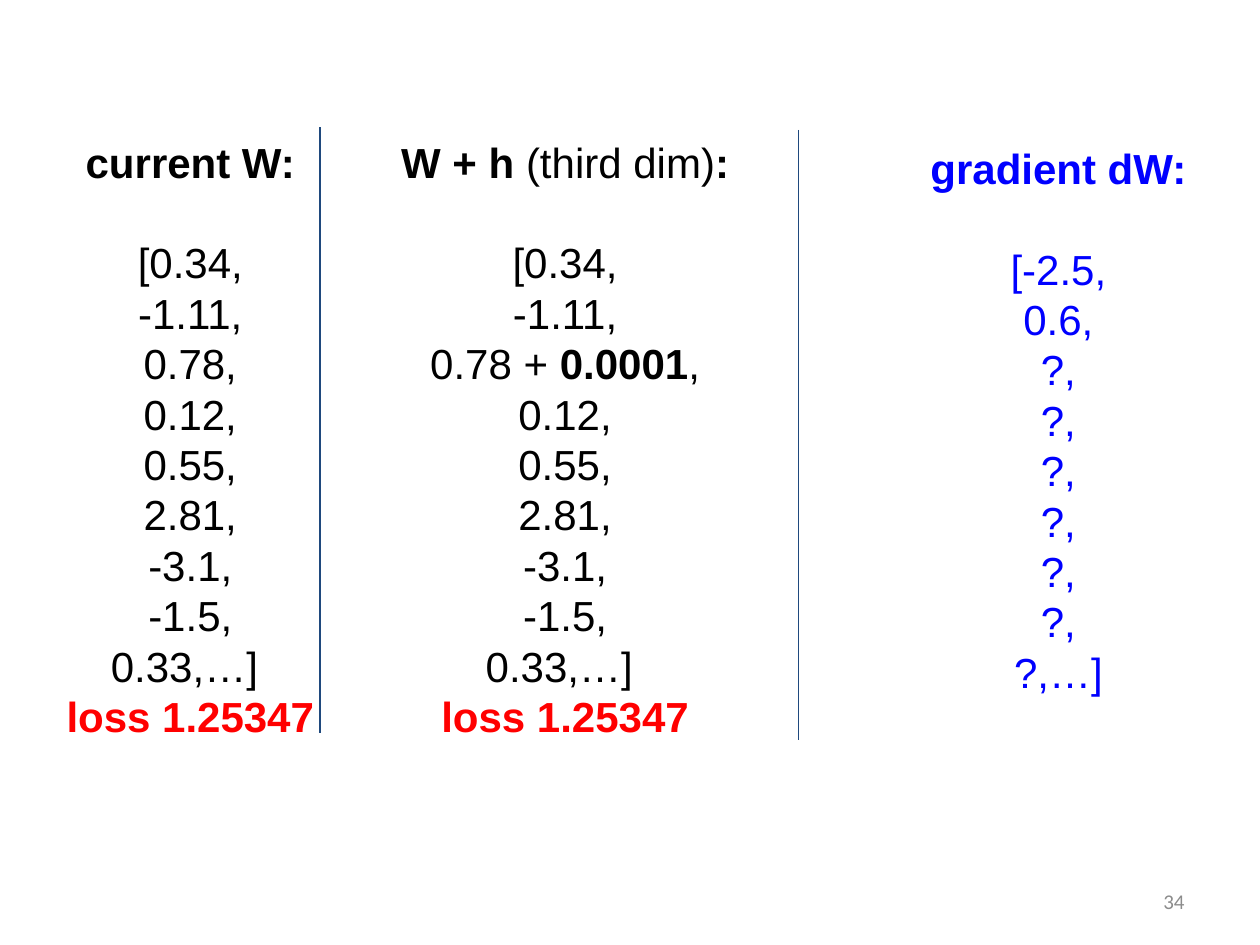
from dataclasses import dataclass

from lxml import etree
from pptx import Presentation
from pptx.dml.color import RGBColor
from pptx.enum.shapes import MSO_CONNECTOR
from pptx.enum.text import MSO_ANCHOR, PP_ALIGN
from pptx.oxml.ns import qn
from pptx.util import Inches, Pt

CENTER, RIGHT = PP_ALIGN.CENTER, PP_ALIGN.RIGHT
TOP, MIDDLE = MSO_ANCHOR.TOP, MSO_ANCHOR.MIDDLE
STRAIGHT = MSO_CONNECTOR.STRAIGHT


@dataclass(frozen=True)
class Theme:
    weights: RGBColor = RGBColor(0x00, 0x00, 0x00)
    gradient: RGBColor = RGBColor(0x00, 0x00, 0xFF)
    loss: RGBColor = RGBColor(0xFF, 0x00, 0x00)
    divider: RGBColor = RGBColor(0x1F, 0x49, 0x7D)
    page: RGBColor = RGBColor(0x8C, 0x8C, 0x8C)
    body_font: str = "Arial"
    page_font: str = "Calibri"
    body_size: Pt = Pt(24)
    page_size: Pt = Pt(12)
    line_pitch: Pt = Pt(28.8)
    divider_width: Pt = Pt(0.75)
    inset: Inches = Inches(0.1)


class SlideBuilder:
    def __init__(self, slide, theme):
        self.slide = slide
        self.theme = theme

    def text_frame(self, left, top, width, height, anchor=TOP):
        box = self.slide.shapes.add_textbox(
            Inches(left), Inches(top), Inches(width), Inches(height))
        frame = box.text_frame
        frame.word_wrap = True
        frame.vertical_anchor = anchor
        frame.margin_left = frame.margin_right = self.theme.inset
        frame.margin_top = frame.margin_bottom = self.theme.inset
        return frame

    def body_line(self, paragraph, parts, color, bold=False):
        """Fill a paragraph; every second part has the opposite weight."""
        paragraph.alignment = CENTER
        paragraph.line_spacing = self.theme.line_pitch
        font = paragraph.font
        font.name, font.size = self.theme.body_font, self.theme.body_size
        font.color.rgb, font.bold = color, bold
        for index, part in enumerate(parts):
            run = paragraph.add_run()
            run.text = part
            if index % 2:
                run.font.bold = not bold

    def column(self, left, top, width, heading, values, color, loss=None):
        frame = self.text_frame(left, top, width, 0.43)
        title = frame.paragraphs[0]
        self.body_line(title, heading, color, bold=True)
        title.space_after = self.theme.line_pitch
        for parts in values:
            self.body_line(frame.add_paragraph(), parts, color)
        if loss:
            self.body_line(frame.add_paragraph(), [loss], self.theme.loss, bold=True)

    def divider(self, x, top, bottom):
        line = self.slide.shapes.add_connector(
            STRAIGHT, Inches(x), Inches(top), Inches(x), Inches(bottom))
        line.line.color.rgb = self.theme.divider
        line.line.width = self.theme.divider_width
        etree.SubElement(line._element.spPr, qn("a:effectLst"))

    def page_number(self, number):
        paragraph = self.text_frame(7.17, 6.95, 2.33, 0.4, MIDDLE).paragraphs[0]
        paragraph.text = str(number)
        paragraph.alignment = RIGHT
        font = paragraph.font
        font.name, font.size = self.theme.page_font, self.theme.page_size
        font.color.rgb = self.theme.page


def main():
    deck = Presentation()
    deck.slide_width, deck.slide_height = Inches(10), Inches(7.5)
    theme = Theme()
    builder = SlideBuilder(deck.slides.add_slide(deck.slide_layouts[6]), theme)

    weights = [["[0.34,"], ["-1.11,"], ["0.78,"], ["0.12,"], ["0.55,"],
               ["2.81,"], ["-3.1,"], ["-1.5,"], ["0.33,…] "]]
    shifted = list(weights)
    shifted[2] = ["0.78 + ", "0.0001", ","]
    gradient = [["[-2.5,"], ["0.6,"]] + [["?,"]] * 6 + [["?,…]"]]
    loss = "loss 1.25347"

    builder.page_number(34)
    builder.column(7.11, 1.03, 2.58, ["gradient dW:"], gradient, theme.gradient)
    builder.column(0.22, 0.98, 2.58, ["current W:"], weights, theme.weights, loss)
    builder.divider(2.54, 1.01, 5.82)
    builder.column(2.63, 0.98, 3.71, ["W + h ", "(third dim)", ":"],
                   shifted, theme.weights, loss)
    builder.divider(6.34, 1.03, 5.87)

    deck.save("out.pptx")


if __name__ == "__main__":
    main()
